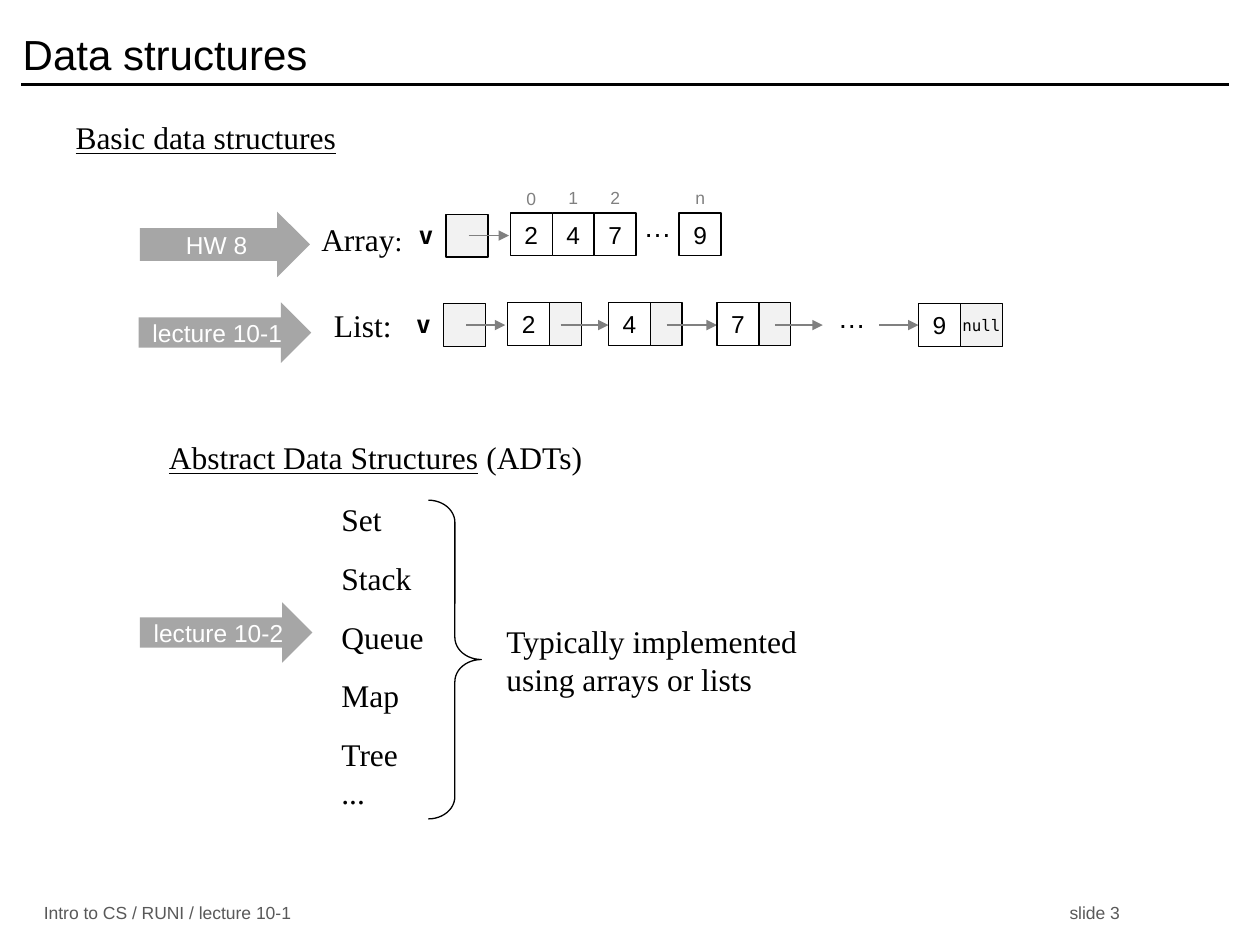
from lxml import etree
from pptx import Presentation, util as u
from pptx.dml.color import RGBColor
from pptx.enum import shapes, text
from pptx.oxml.ns import qn

COLORS = {"ink": "000000", "paper": "FFFFFF", "grey": "808080",
          "pointer": "F2F2F2", "arrow": "A6A6A6", "footer": "595959"}
SANS, SERIF, MONO = "Arial", "Times New Roman", "DejaVu Sans Mono"
LEFT, CENTER, RIGHT = text.PP_ALIGN.LEFT, text.PP_ALIGN.CENTER, text.PP_ALIGN.RIGHT
TOP, MIDDLE = text.MSO_ANCHOR.TOP, text.MSO_ANCHOR.MIDDLE
CELL_W, LINK_W, CELL_H = 3.33, 2.5, 3.4


def color(name):
    return RGBColor.from_string(COLORS[name])


class Deck:
    """Style and current slide; lengths are in grid units, 100 columns by 75 rows."""

    def __init__(self):
        self.prs = Presentation()
        self.prs.slide_width, self.prs.slide_height = u.Inches(10), u.Inches(7.5)
        self.unit = self.prs.slide_width / 100
        self.slide = self.prs.slides.add_slide(self.prs.slide_layouts[5])

    def grid(self, *values):
        return [u.Emu(round(v * self.unit)) for v in values]

    def fill_text(self, frame, lines, size, font=SANS, ink="ink", align=LEFT,
                  anchor=TOP, side=1, bold=False):
        """Each line is a string or a list of (text, run format) pairs."""
        frame.word_wrap, frame.vertical_anchor = True, anchor
        frame.margin_left, frame.margin_right = self.grid(side, min(side, 1))
        frame.margin_top = frame.margin_bottom = u.Inches(0.05)
        for i, line in enumerate(lines):
            par = frame.add_paragraph() if i else frame.paragraphs[0]
            par.alignment = align
            par.font.name, par.font.size, par.font.bold = font, u.Pt(size), bold
            par.font.color.rgb = color(ink)
            for words, style in [(line, {})] if isinstance(line, str) else line:
                run = par.add_run()
                run.text = words
                run.font.underline = style.get("underline")
                run.font.size = style.get("size")
        return frame

    def title(self, words, *box):
        holder = self.slide.shapes.title
        holder.left, holder.top, holder.width, holder.height = self.grid(*box)
        self.fill_text(holder.text_frame, [words], 24, anchor=MIDDLE)

    def label(self, lines, *box, size=18, font=SERIF, side=2, **style):
        frame = self.slide.shapes.add_textbox(*self.grid(*box)).text_frame
        return self.fill_text(frame, lines, size, font, side=side, **style)

    def shape(self, kind, *box, fill=None, line=None, adjust=()):
        item = self.slide.shapes.add_shape(kind, *self.grid(*box))
        item.shadow.inherit = False
        if fill:
            item.fill.solid()
            item.fill.fore_color.rgb = color(fill)
        else:
            item.fill.background()
        if line:
            item.line.color.rgb, item.line.width = color(line), u.Pt(0.75)
        else:
            item.line.fill.background()
        for i, value in enumerate(adjust):
            item.adjustments[i] = value
        return item

    def cell(self, words, *box, fill="paper", line="ink", size=14, align=CENTER, **style):
        item = self.shape(shapes.MSO_SHAPE.RECTANGLE, *box, fill=fill, line=line)
        if words:
            self.fill_text(item.text_frame, [words], size, align=align,
                           anchor=MIDDLE, side=0, **style)

    def tag(self, words, *box):
        item = self.shape(shapes.MSO_SHAPE.RIGHT_ARROW, *box, fill="arrow")
        self.fill_text(item.text_frame, [words], 14, ink="paper", align=CENTER,
                       anchor=MIDDLE, side=0)

    def line(self, x1, x2, y, ink="grey", width=0.75, head=True):
        item = self.slide.shapes.add_connector(
            shapes.MSO_CONNECTOR.STRAIGHT, *self.grid(x1, y, x2, y))
        item.line.color.rgb, item.line.width = color(ink), u.Pt(width)
        properties = item._element.spPr
        if head:
            etree.SubElement(properties.get_or_add_ln(), qn("a:tailEnd"), type="triangle")
        etree.SubElement(properties, qn("a:effectLst"))

    def variable(self, left, top, arrow_end, arrow_y):
        """The variable v with its box and the arrow to what it refers to."""
        self.cell("v", left, top, 2.5, CELL_H, line=None, align=RIGHT, font=MONO, bold=True)
        self.cell("", left + 3.5, top + 0.1, CELL_W, CELL_H, fill="pointer")
        self.line(left + 5.3, arrow_end, arrow_y)


def main():
    deck = Deck()

    # Title, rule and footer
    deck.title("Data structures", 0.8, 1.4, 95.8, 5.8)
    deck.line(1.7, 97.5, 6.7, ink="ink", width=2, head=False)
    for words, left, width in (("Intro to CS / RUNI / lecture 10-1", 2.5, 30),
                               ("slide 3", 83.9, 10)):
        deck.label([words], left, 70.9, width, 3, size=10, font=SANS,
                   ink="footer", anchor=MIDDLE, side=1)

    # Headings and row labels
    deck.label([[("Basic data structures", {"underline": True})]], 4, 8.9, 42.4, 5.1)
    deck.label([[("Abstract Data Structures", {"underline": True}), (" (ADTs)", {})]],
               11.4, 34.3, 42.4, 5.1)
    deck.label([[("Array", {}), (":", {"size": u.Pt(16)})]], 23.5, 17, 10, 5.1)
    deck.label(["List:"], 24.5, 23.8, 7.7, 5.1)

    # Array: indexes above, values below
    array_left, array_top, last_left = 40.5, 16.9, 53.9
    deck.cell("…", 50.6, 16.1, 3.2, 3.7, line=None, size=16)
    columns = [array_left + i * CELL_W for i in range(3)] + [last_left]
    for left, index, value in zip(columns, "012n", "2479"):
        top = 14.4 if index == "0" else 14.3
        deck.cell(index, left, top, CELL_W, 2.7, line=None, size=10, ink="grey")
        deck.cell(value, left, array_top, CELL_W, CELL_H)
    deck.variable(31.9, array_top, 40.4, 18.7)

    # Linked list: value, pointer box and arrow to the next node
    list_top, link_y = 24, 25.8
    deck.cell("…", 66, 23.3, 3.2, 3.7, line=None, size=16)
    for value, left, following in (("2", 40.3, 48.3), ("4", 48.3, 56.9), ("7", 56.9, 65.3)):
        deck.cell(value, left, list_top, CELL_W, CELL_H, fill=None)
        deck.cell("", left + CELL_W, list_top, LINK_W, CELL_H, fill="pointer")
        deck.line(left + 4.6 - 0.4 * (value == "2"), following, link_y)
    deck.line(69.8, 72.9, link_y)
    deck.cell("9", 72.9, 24.1, CELL_W, CELL_H, fill=None)
    deck.cell("null", 72.9 + CELL_W, 24.1, CELL_W, CELL_H, fill="pointer", size=9, font=MONO)
    deck.variable(31.7, list_top, 40.1, link_y)

    # Abstract data types
    adts = deck.label(["Set", "Stack", "Queue", "Map", "Tree", "..."],
                      25.1, 39.2, 10, 29.6).paragraphs
    for adt in adts[1:-1]:
        adt.space_before = u.Pt(12)
    deck.shape(shapes.MSO_SHAPE.RIGHT_BRACE, 34, 39.7, 4.2, 25.3, line="ink",
               adjust=(0.42, 0.5))
    deck.label(["Typically implemented using arrays or lists"], 39.2, 48.9, 26.5, 7,
               anchor=MIDDLE, side=1)

    # Where each topic is taught
    deck.tag("HW 8", 11.1, 16.8, 13.5, 5.2)
    deck.tag("lecture 10-1", 11, 24, 13.7, 4.8)
    deck.tag("lecture 10-2", 11.1, 47.8, 13.7, 4.8)

    deck.prs.save("out.pptx")


if __name__ == "__main__":
    main()
